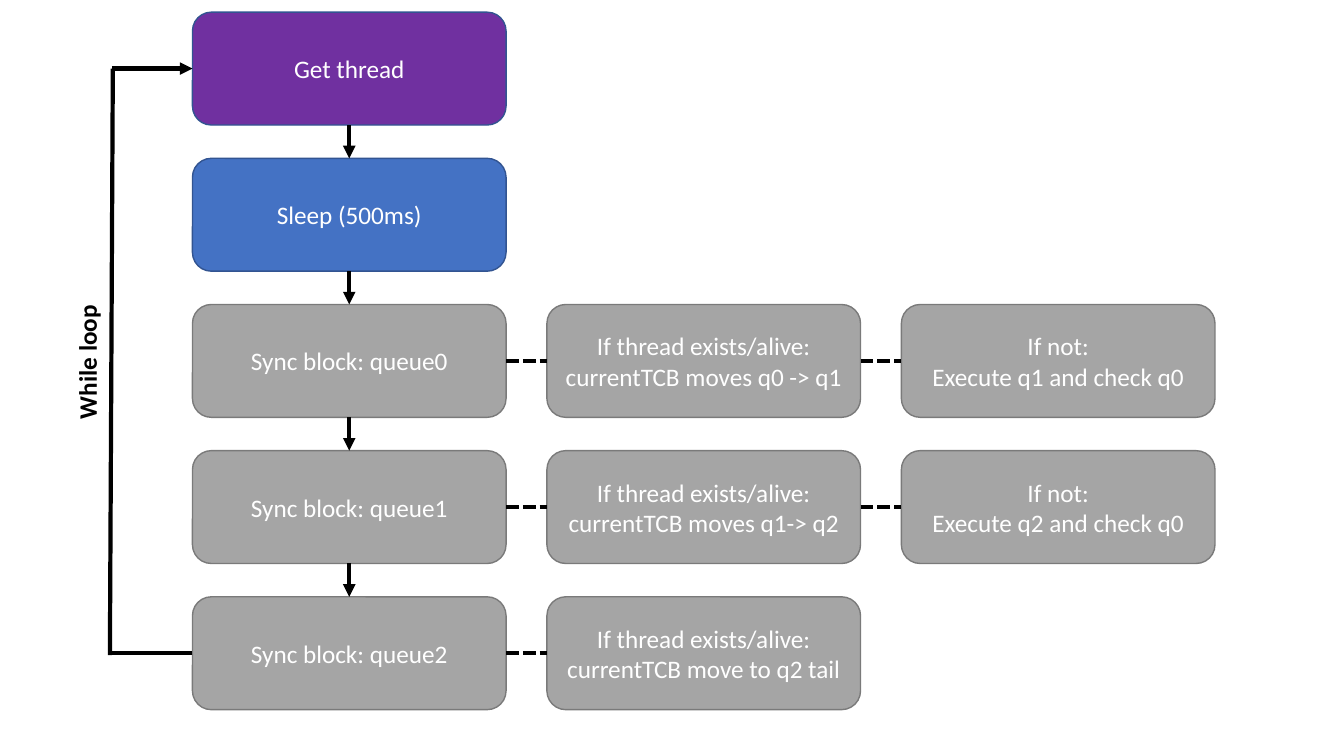
from lxml import etree
from pptx import Presentation
from pptx.dml.color import RGBColor
from pptx.enum.dml import MSO_LINE
from pptx.enum.shapes import MSO_CONNECTOR, MSO_SHAPE
from pptx.enum.text import MSO_ANCHOR, MSO_AUTO_SIZE, PP_ALIGN
from pptx.oxml.ns import qn
from pptx.util import Pt

ROUND = MSO_SHAPE.ROUNDED_RECTANGLE
LINE = MSO_CONNECTOR.STRAIGHT
DASH = MSO_LINE.SQUARE_DOT
MID = MSO_ANCHOR.MIDDLE
CENTER = PP_ALIGN.CENTER
GROW = MSO_AUTO_SIZE.SHAPE_TO_FIT_TEXT

COLORS = {"purple": "7030A0", "blue": "4472C4", "navy": "325491",
          "gray": "A5A5A5", "edge": "7A7A7A", "white": "FFFFFF",
          "black": "000000"}
LEFT, TOP = 137.5, 8.7
WIDTH, HEIGHT = 224, 80.6
COL_STEP, ROW_STEP = 253.2, 104.4

deck = Presentation()
deck.slide_width, deck.slide_height = Pt(960), Pt(540)
slide = deck.slides.add_slide(deck.slide_layouts[6])


def style(shape, text, color, bold=None):
    """Set centred 18 pt Calibri text in a shape."""
    frame = shape.text_frame
    frame.text = text
    frame.vertical_anchor = MID
    for para in frame.paragraphs:
        para.alignment = CENTER
        for run in para.runs:
            run.font.name = "Calibri"
            run.font.size = Pt(18)
            run.font.bold = bold
            run.font.color.rgb = RGBColor.from_string(COLORS[color])


def link(x1, y1, x2, y2, dash=None, arrow=False):
    """Draw a black line, dashed or with an arrowhead at its end."""
    wire = slide.shapes.add_connector(LINE, Pt(x1), Pt(y1), Pt(x2), Pt(y2))
    wire.line.color.rgb = RGBColor.from_string(COLORS["black"])
    wire.line.width = Pt(3)
    if dash:
        wire.line.dash_style = dash
    props = wire.element.spPr
    if arrow:
        etree.SubElement(props.find(qn("a:ln")), qn("a:tailEnd"), type="triangle")
    etree.SubElement(props, qn("a:effectLst"))


# Each row: fill, line and the texts from left to right
alive = "If thread exists/alive:\ncurrentTCB "
rows = [
    ("purple", "navy", ["Get thread"]),
    ("blue", "navy", ["Sleep (500ms)"]),
    ("gray", "edge", ["Sync block: queue0", alive + "moves q0 -> q1",
                      "If not:\nExecute q1 and check q0"]),
    ("gray", "edge", ["Sync block: queue1", alive + "moves q1-> q2",
                      "If not:\nExecute q2 and check q0"]),
    ("gray", "edge", ["Sync block: queue2", alive + "move to q2 tail"]),
]

for row, (fill, edge, texts) in enumerate(rows):
    y = TOP + row * ROW_STEP
    for col, text in enumerate(texts):
        x = LEFT + col * COL_STEP
        block = slide.shapes.add_shape(ROUND, Pt(x), Pt(y), Pt(WIDTH), Pt(HEIGHT))
        block.shadow.inherit = False
        block.fill.solid()
        block.fill.fore_color.rgb = RGBColor.from_string(COLORS[fill])
        block.line.color.rgb = RGBColor.from_string(COLORS[edge])
        block.line.width = Pt(1)
        style(block, text, "white")
        if col:
            mid = y + HEIGHT / 2
            link(x - COL_STEP + WIDTH, mid, x, mid, dash=DASH)
    if row:
        mid = LEFT + WIDTH / 2
        link(mid, y - ROW_STEP + HEIGHT, mid, y, arrow=True)

# Way back from the last row to the first
first = TOP + HEIGHT / 2
last = first + (len(rows) - 1) * ROW_STEP
link(LEFT, last, 78.5, last)
link(78.5, last + 1.4, 80.6, first)
link(80, first, LEFT, first, arrow=True)

label = slide.shapes.add_textbox(Pt(13.7), Pt(244.1), Pt(96.5), Pt(29))
label.rotation = 270
label.text_frame.word_wrap = False
label.text_frame.auto_size = GROW
style(label, "While loop", "black", bold=True)

deck.save("out.pptx")
